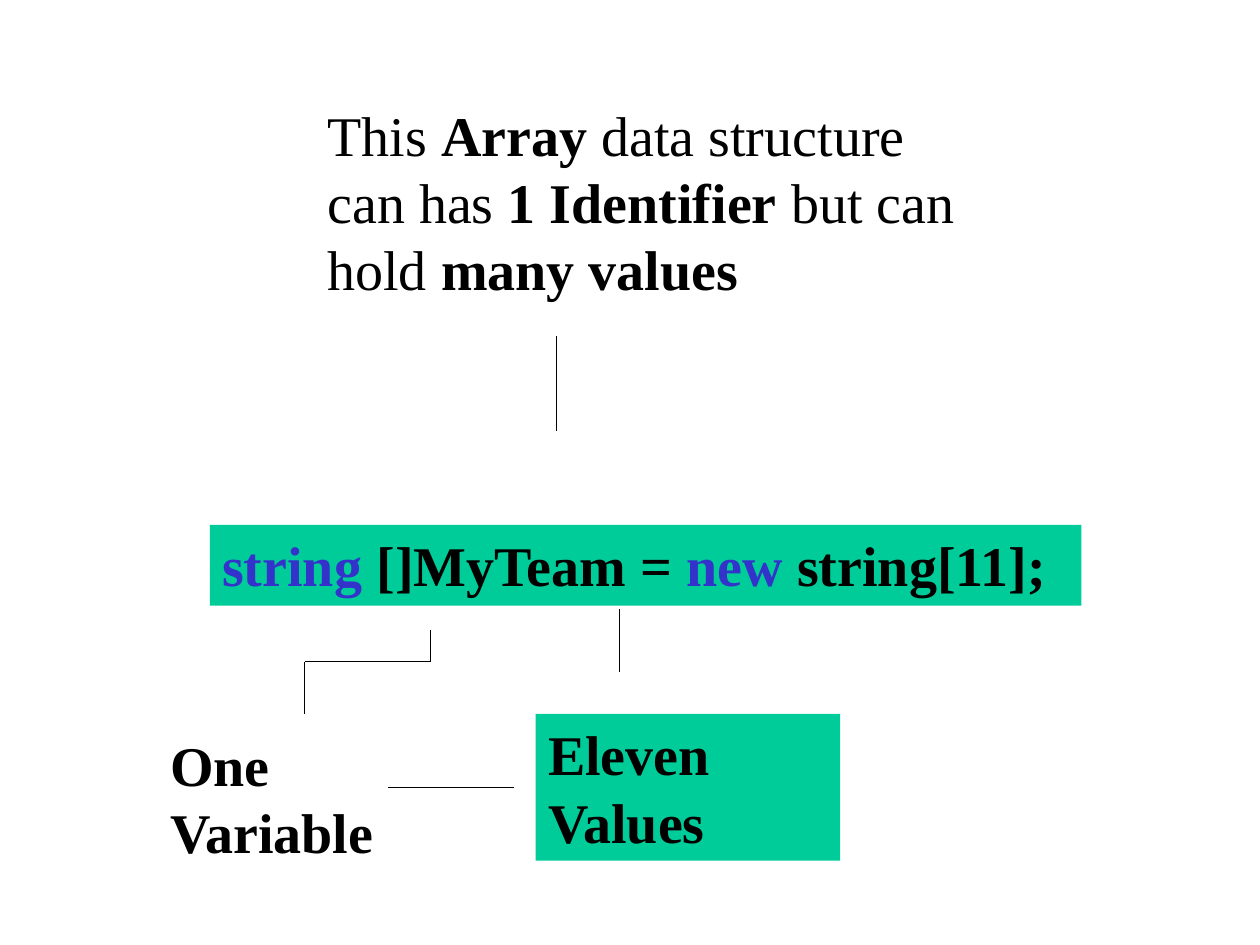
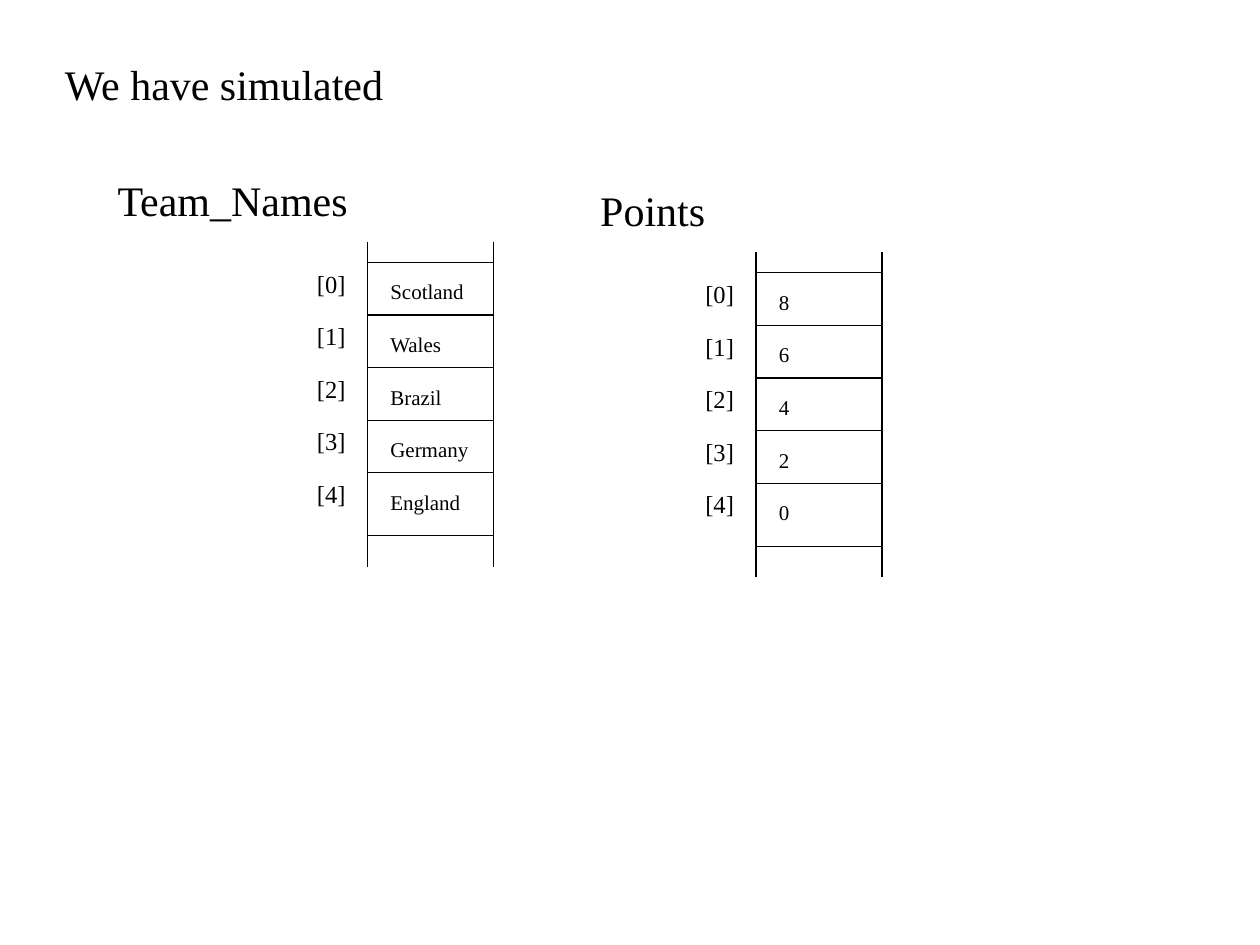
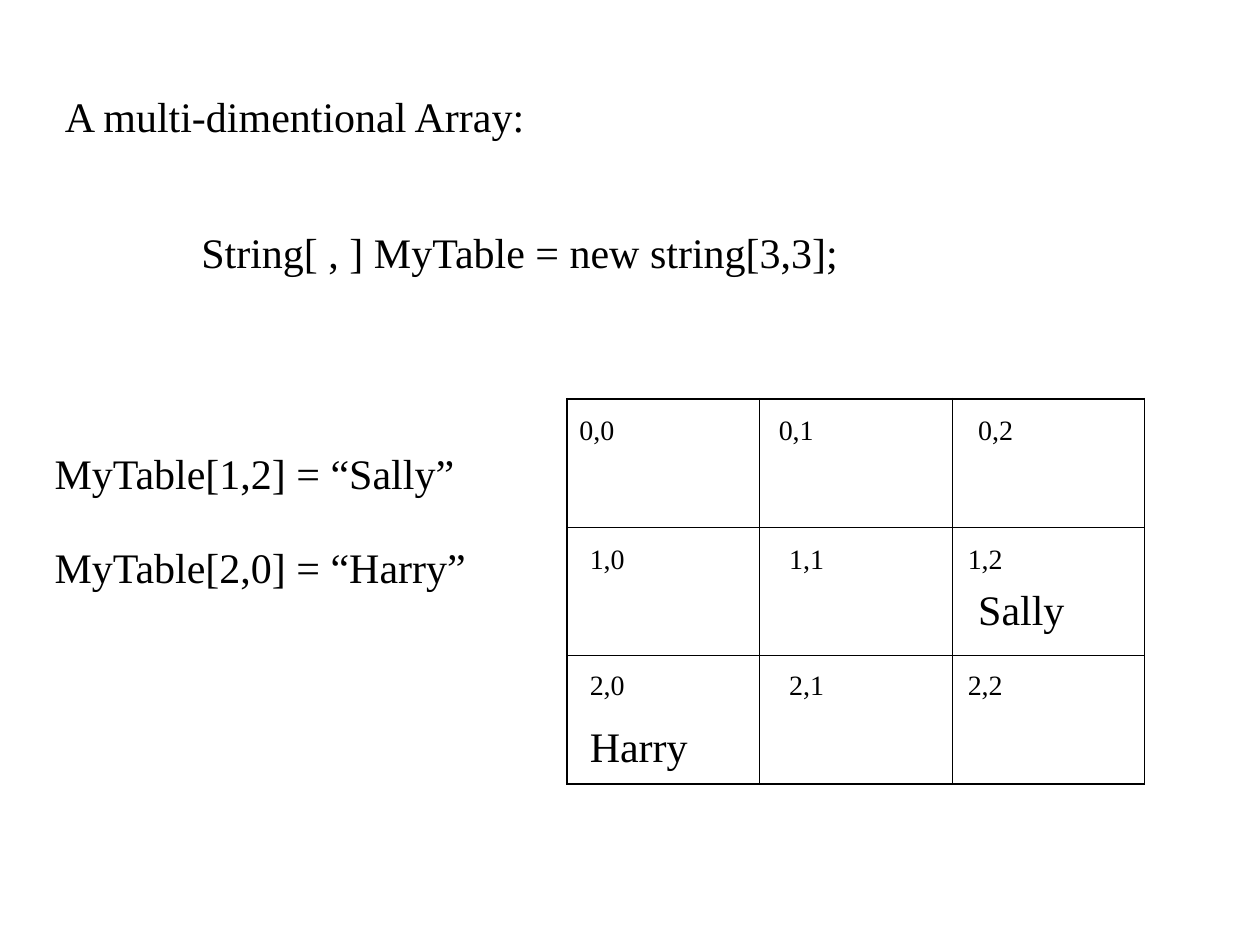
import pptx
import pptx.dml.color
import pptx.enum.shapes
import pptx.enum.text
import pptx.oxml
import pptx.oxml.ns
import pptx.util
from lxml import etree

Cm = pptx.util.Cm
Pt = pptx.util.Pt

FONT = "Times New Roman"
BLACK = "000000"
BLUE = "3333CC"
GREEN = "00CC99"
LINE_WIDTH = 0.75
SPACE_BEFORE_RATIO = 0.625


def colour(value):
    return pptx.dml.color.RGBColor.from_string(value)


class SlideWriter:
    """Draws elements in the shared style on the current slide; lengths are in cm."""

    def __init__(self, deck):
        self.deck = deck
        self.slide = None

    def new_slide(self):
        self.slide = self.deck.slides.add_slide(self.deck.slide_layouts[6])

    def fill_text(self, box, spans, size, bold):
        """Write spans, each a (text, bold, colour) tuple, or one plain string."""
        frame = box.text_frame
        frame.word_wrap = True
        frame.auto_size = pptx.enum.text.MSO_AUTO_SIZE.SHAPE_TO_FIT_TEXT
        frame.vertical_anchor = pptx.enum.text.MSO_ANCHOR.TOP
        para = frame.paragraphs[0]
        para.alignment = pptx.enum.text.PP_ALIGN.LEFT
        para.space_before = Pt(size * SPACE_BEFORE_RATIO)
        para.font.name = FONT
        para.font.size = Pt(size)
        if isinstance(spans, str):
            spans = [(spans, bold, BLACK)]
        for text, span_bold, span_colour in spans:
            span = para.add_run()
            span.text = text
            span.font.bold = span_bold
            span.font.color.rgb = colour(span_colour)

    def text(self, left, top, width, height, spans, size=24, bold=False):
        box = self.slide.shapes.add_textbox(Cm(left), Cm(top), Cm(width), Cm(height))
        self.fill_text(box, spans, size, bold)

    def panel(self, left, top, width, height, spans, size=32, bold=True):
        box = self.slide.shapes.add_shape(
            pptx.enum.shapes.MSO_SHAPE.RECTANGLE, Cm(left), Cm(top), Cm(width), Cm(height))
        box.shadow.inherit = False
        box.fill.solid()
        box.fill.fore_color.rgb = colour(GREEN)
        box.line.fill.background()
        self.fill_text(box, spans, size, bold)

    def line(self, start_x, start_y, end_x, end_y):
        connector = self.slide.shapes.add_connector(
            pptx.enum.shapes.MSO_CONNECTOR.STRAIGHT,
            Cm(start_x), Cm(start_y), Cm(end_x), Cm(end_y))
        connector.line.color.rgb = colour(BLACK)
        connector.line.width = Pt(LINE_WIDTH)
        etree.SubElement(connector.element.spPr, pptx.oxml.ns.qn("a:effectLst"))

    def grid(self, left, top, column_width, row_height, count, outer=1.08, inner=0.45):
        """Add an empty square table with a heavier outer border."""
        table = self.slide.shapes.add_table(
            count, count, Cm(left), Cm(top),
            Cm(column_width * count), Cm(row_height * count)).table
        table.first_row = False
        table.horz_banding = False
        for column in table.columns:
            column.width = Cm(column_width)
        last = count - 1
        for row_index, row in enumerate(table.rows):
            row.height = Cm(row_height)
            for column_index, cell in enumerate(row.cells):
                edges = {"L": column_index == 0, "R": column_index == last,
                         "T": row_index == 0, "B": row_index == last}
                for side, is_outer in edges.items():
                    self.border(cell, side, outer if is_outer else inner)
                cell.fill.background()

    def border(self, cell, side, width):
        cell._tc.get_or_add_tcPr().append(pptx.oxml.parse_xml(
            f'<a:ln{side} {pptx.oxml.ns.nsdecls("a")} w="{Pt(width)}">'
            f'<a:solidFill><a:srgbClr val="{BLACK}"/></a:solidFill></a:ln{side}>'))

    def array_column(self, left, top, heading, heading_left, heading_width, values):
        """Draw an open-ended ladder of cells with indexes on its left."""
        width, step, first_rule, last_rule = 2.54, 1.06, 0.42, 5.93
        for rail in (left, left + width):
            self.line(rail, top, rail, top + 6.56)
        rules = [top + first_rule + index * step for index in range(len(values))]
        for rule in rules + [top + last_rule]:
            self.line(left, rule, left + width, rule)
        self.text(heading_left, top - 1.48, heading_width, 1.27, heading)
        for index, (rule, value) in enumerate(zip(rules, values)):
            self.text(left - 1.27, rule, 1.27, 0.86, f"[{index}]", size=14)
            self.text(left + 0.21, rule + 0.21, 2.12, 0.76, value, size=12)


def array_slide(writer):
    writer.new_slide()
    writer.text(6.35, 1.9, 13.34, 4.32, [
        ("This ", False, BLACK), ("Array ", True, BLACK),
        ("data structure can has ", False, BLACK), ("1 Identifier", True, BLACK),
        (" but can hold ", False, BLACK), ("many values", True, BLACK)], size=32)
    writer.line(11.22, 6.77, 11.22, 8.68)
    elbow = [(8.68, 12.7), (8.68, 13.34), (6.14, 13.34), (6.14, 14.39)]
    for start, end in zip(elbow, elbow[1:]):
        writer.line(*start, *end)
    writer.text(3.18, 14.6, 5.93, 2.96, "One Variable", size=32, bold=True)
    writer.line(12.49, 12.28, 12.49, 13.55)
    writer.panel(10.8, 14.39, 6.14, 2.96, "Eleven Values")
    writer.line(7.83, 15.88, 10.37, 15.88)
    writer.panel(4.23, 10.58, 17.57, 1.63, [
        ("string", True, BLUE), (" []MyTeam = ", True, BLACK),
        ("new", True, BLUE), (" string[11];", True, BLACK)])


def simulation_slide(writer):
    writer.new_slide()
    writer.text(1.06, 1.06, 12.49, 1.27, "We have simulated")
    writer.array_column(7.41, 4.87, "Team_Names", 2.12, 8.05,
                        ["Scotland", "Wales", "Brazil", "Germany", "England"])
    writer.array_column(15.24, 5.08, "Points", 11.85, 3.39, ["8", "6", "4", "2", "0"])


def table_slide(writer):
    writer.new_slide()
    writer.text(1.06, 1.69, 11.43, 1.27, "A multi-dimentional Array:")
    writer.text(3.81, 4.45, 14.6, 1.27, "String[ , ] MyTable = new string[3,3];")
    writer.grid(11.43, 8.04, 3.88, 2.59, 3)
    label_rows = [
        (8.2, [11.43, 15.45, 19.47]),
        (10.8, [11.64, 15.66, 19.26]),
        (13.34, [11.64, 15.66, 19.26])]
    for row, (top, lefts) in enumerate(label_rows):
        for column, left in enumerate(lefts):
            writer.text(left, top, 2.12, 0.94, f"{row},{column}", size=16)
    writer.text(0.85, 8.89, 10.16, 1.27, "MyTable[1,2] = “Sally”")
    writer.text(19.47, 11.64, 3.18, 1.27, "Sally")
    writer.text(0.85, 10.8, 10.16, 1.27, "MyTable[2,0] = “Harry”")
    writer.text(11.64, 14.39, 3.18, 1.27, "Harry")


def main():
    deck = pptx.Presentation()
    deck.slide_width = Cm(25.4)
    deck.slide_height = Cm(19.05)
    writer = SlideWriter(deck)
    array_slide(writer)
    simulation_slide(writer)
    table_slide(writer)
    deck.save("out.pptx")


if __name__ == "__main__":
    main()
